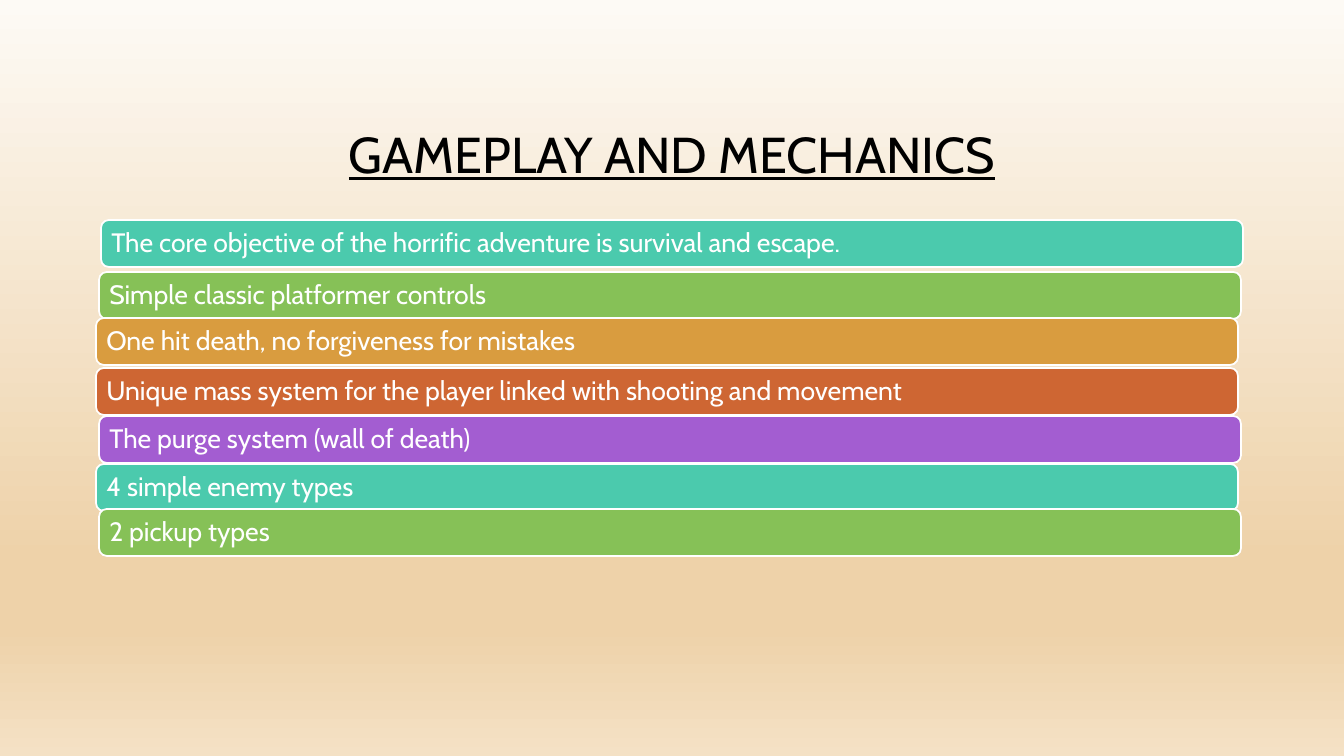
from lxml.etree import SubElement
from pptx import Presentation
from pptx.dml.color import RGBColor
from pptx.enum.shapes import MSO_SHAPE
from pptx.enum.text import MSO_ANCHOR, MSO_AUTO_SIZE, PP_ALIGN
from pptx.oxml.ns import qn
from pptx.util import Emu, Pt

SCALE = 914400 / 100.8  # EMU in one px
FONT = "Cabin"
BLACK = RGBColor(0x00, 0x00, 0x00)
WHITE = RGBColor(0xFF, 0xFF, 0xFF)
TEAL = RGBColor(0x4B, 0xCA, 0xAD)
GREEN = RGBColor(0x86, 0xC1, 0x57)
AMBER = RGBColor(0xD9, 0x9C, 0x3F)
RUST = RGBColor(0xCE, 0x66, 0x33)
VIOLET = RGBColor(0xA3, 0x5D, 0xD1)
CREAM = RGBColor(0xFD, 0xFA, 0xF5)
SAND = RGBColor(0xEE, 0xD2, 0xA9)
PALE = RGBColor(0xF4, 0xE1, 0xC5)

STOPS = [(0, CREAM), (74, SAND), (83, SAND), (100, PALE)]
FILLS = [TEAL, GREEN, AMBER, RUST, VIOLET]
BAR_W, BAR_H = 1142, 47

# Left, top and wording of each bar
BARS = [
    (101, 220, "The core objective of the horrific adventure is survival and escape."),
    (99, 272, "Simple classic platformer controls"),
    (96, 318, "One hit death, no forgiveness for mistakes"),
    (96, 368, "Unique mass system for the player linked with shooting and movement"),
    (99, 416, "The purge system (wall of death)"),
    (96, 464, "4 simple enemy types"),
    (99, 509, "2 pickup types"),
]


def px(num):
    return Emu(round(num * SCALE))


def paint(slide):
    fill = slide.background.fill
    fill.gradient()
    fill.gradient_angle = 270
    # Four stops in place of the two default ones
    stops = slide.element.find(".//" + qn("a:gsLst"))
    for stop in list(stops):
        stops.remove(stop)
    for place, color in STOPS:
        stop = SubElement(stops, qn("a:gs"), pos=str(place * 1000))
        SubElement(stop, qn("a:srgbClr"), val=str(color))


def write(frame, text, size, color, align):
    frame.word_wrap = True
    frame.auto_size = MSO_AUTO_SIZE.NONE
    frame.vertical_anchor = MSO_ANCHOR.MIDDLE
    para = frame.paragraphs[0]
    para.alignment = align
    para.line_spacing = 0.9
    run = para.add_run()
    run.text = text
    run.font.name = FONT
    run.font.size = Pt(size)
    run.font.color.rgb = color
    return run


def add_title(slide, text):
    title = slide.shapes.title
    title.left, title.top = px(101), px(69)
    title.width, title.height = px(BAR_W), px(176)
    run = write(title.text_frame, text, 36, BLACK, PP_ALIGN.CENTER)
    run.font.underline = True


def add_bar(slide, left, top, text, color):
    bar = slide.shapes.add_shape(
        MSO_SHAPE.ROUNDED_RECTANGLE, px(left), px(top), px(BAR_W), px(BAR_H))
    bar.shadow.inherit = False
    bar.fill.solid()
    bar.fill.fore_color.rgb = color
    bar.line.color.rgb = WHITE
    bar.line.width = Pt(1.25)
    frame = bar.text_frame
    frame.margin_left = frame.margin_right = px(8)
    frame.margin_top = frame.margin_bottom = px(8)
    write(frame, text, 19, WHITE, PP_ALIGN.LEFT)


def main():
    deck = Presentation()
    deck.slide_width, deck.slide_height = px(1344), px(756)
    slide = deck.slides.add_slide(deck.slide_layouts[5])
    paint(slide)
    add_title(slide, "GAMEPLAY AND MECHANICS")
    # Fills repeat after the fifth bar
    for num, (left, top, text) in enumerate(BARS):
        add_bar(slide, left, top, text, FILLS[num % len(FILLS)])
    deck.save("out.pptx")


if __name__ == "__main__":
    main()
